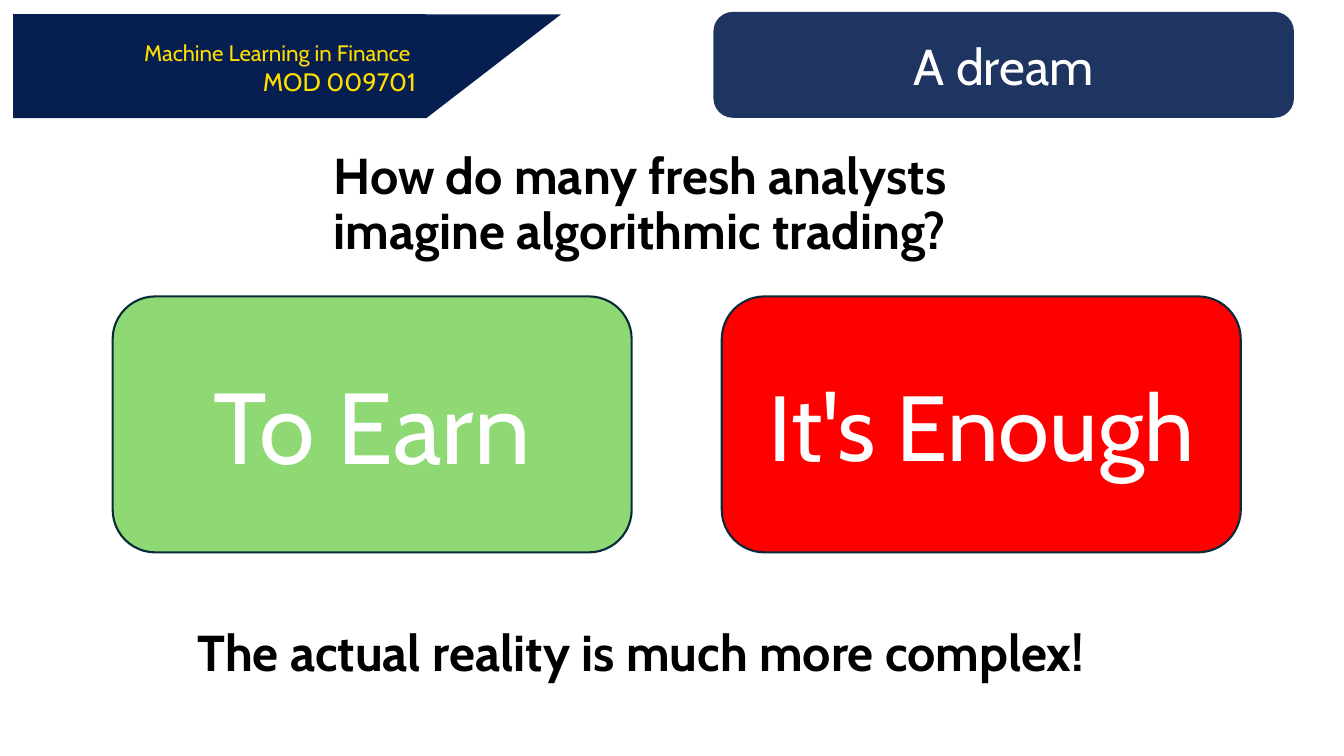
from lxml.etree import SubElement
from pptx import Presentation
from pptx.dml.color import RGBColor
from pptx.enum.shapes import MSO_SHAPE as Preset
from pptx.enum.text import MSO_ANCHOR as Anchor, MSO_AUTO_SIZE as AutoSize, PP_ALIGN as Align
from pptx.oxml.ns import qn
from pptx.util import Cm, Pt

NAVY = RGBColor(0x06, 0x1F, 0x50)
YELLOW = RGBColor(0xFF, 0xDD, 0x00)
GREEN = RGBColor(0x8E, 0xD9, 0x73)
RED = RGBColor(0xFF, 0x00, 0x00)
OUTLINE = RGBColor(0x09, 0x2A, 0x39)
WHITE = RGBColor(0xFF, 0xFF, 0xFF)
BLACK = RGBColor(0x00, 0x00, 0x00)


class SlideBuilder:
    font_name = "Cabin"

    def __init__(self, page):
        self.page = page

    def style(self, font, size, color, bold=False):
        font.name, font.size, font.bold = self.font_name, Pt(size), bold
        font.color.rgb = color

    def shape(self, preset, place, fill, outline=None, parent=None):
        box = (parent or self.page).shapes.add_shape(preset, *map(Cm, place))
        box.shadow.inherit = False
        box.fill.solid()
        box.fill.fore_color.rgb = fill
        if outline is None:
            box.line.fill.background()
        else:
            box.line.color.rgb = outline
            box.line.width = Pt(1.5)
        return box

    def card(self, place, fill, text, size, outline=None):
        box = self.shape(Preset.ROUNDED_RECTANGLE, place, fill, outline)
        box.text_frame.vertical_anchor = Anchor.MIDDLE
        para = box.text_frame.paragraphs[0]
        para.text = text
        para.alignment = Align.CENTER
        self.style(para.font, size, WHITE)
        return box

    def statement(self, box, place, text):
        """Place a title or body placeholder as a plain bold line."""
        box.left, box.top, box.width, box.height = map(Cm, place)
        frame = box.text_frame
        frame.word_wrap = True
        frame.auto_size = AutoSize.NONE
        frame.vertical_anchor = Anchor.TOP
        para = frame.paragraphs[0]
        para.text = text
        para.alignment = Align.LEFT
        para.line_spacing = 0.9
        para.space_before = Pt(0)
        properties = para._p.get_or_add_pPr()
        properties.set("marL", "0")
        properties.set("indent", "0")
        SubElement(properties, qn("a:buNone"))
        self.style(para.font, 36, BLACK, bold=True)

    def course_banner(self, lines):
        """Draw the grouped banner; each line is a list of (text, size) spans."""
        group = self.page.shapes.add_group_shape()
        tip = self.shape(Preset.ISOSCELES_TRIANGLE, (10.74, 0.36, 3.4, 2.62), NAVY, parent=group)
        tip.adjustments[0] = 1
        tip.rotation = 180
        label = self.shape(Preset.RECTANGLE, (0.33, 0.36, 10.41, 2.62), NAVY, parent=group)
        frame = label.text_frame
        frame.vertical_anchor = Anchor.MIDDLE
        for index, spans in enumerate(lines):
            para = frame.add_paragraph() if index else frame.paragraphs[0]
            para.alignment = Align.RIGHT
            for text, size in spans:
                span = para.add_run()
                span.text = text
                self.style(span.font, size, YELLOW)


def set_opacity(box, percent):
    color = box.fill._xPr.find(qn("a:solidFill"))[0]
    SubElement(color, qn("a:alpha")).set("val", str(percent * 1000))


def main():
    deck = Presentation()
    deck.slide_width, deck.slide_height = Cm(33.87), Cm(19.05)
    page = deck.slides.add_slide(deck.slide_layouts[1])
    builder = SlideBuilder(page)

    topic = builder.card((17.98, 0.3, 14.63, 2.67), NAVY, "A dream", 36)
    topic.adjustments[0] = 0.184
    set_opacity(topic, 90)
    builder.course_banner([
        [("Machine Learning in Finance", 16), (" ", 18)],
        [("MOD 009701", 18)],
    ])

    builder.statement(page.shapes.title, (8.15, 3.68, 17.55, 2.62),
                      "How do many fresh analysts imagine algorithmic trading?")
    for left, fill, text, size in [(2.84, GREEN, "To Earn", 72), (18.19, RED, "It's Enough", 66)]:
        builder.card((left, 7.47, 13.08, 6.45), fill, text, size, OUTLINE)
    builder.statement(page.placeholders[1], (4.72, 15.7, 25.5, 1.73),
                      "The actual reality is much more complex!")

    deck.save("out.pptx")


if __name__ == "__main__":
    main()
